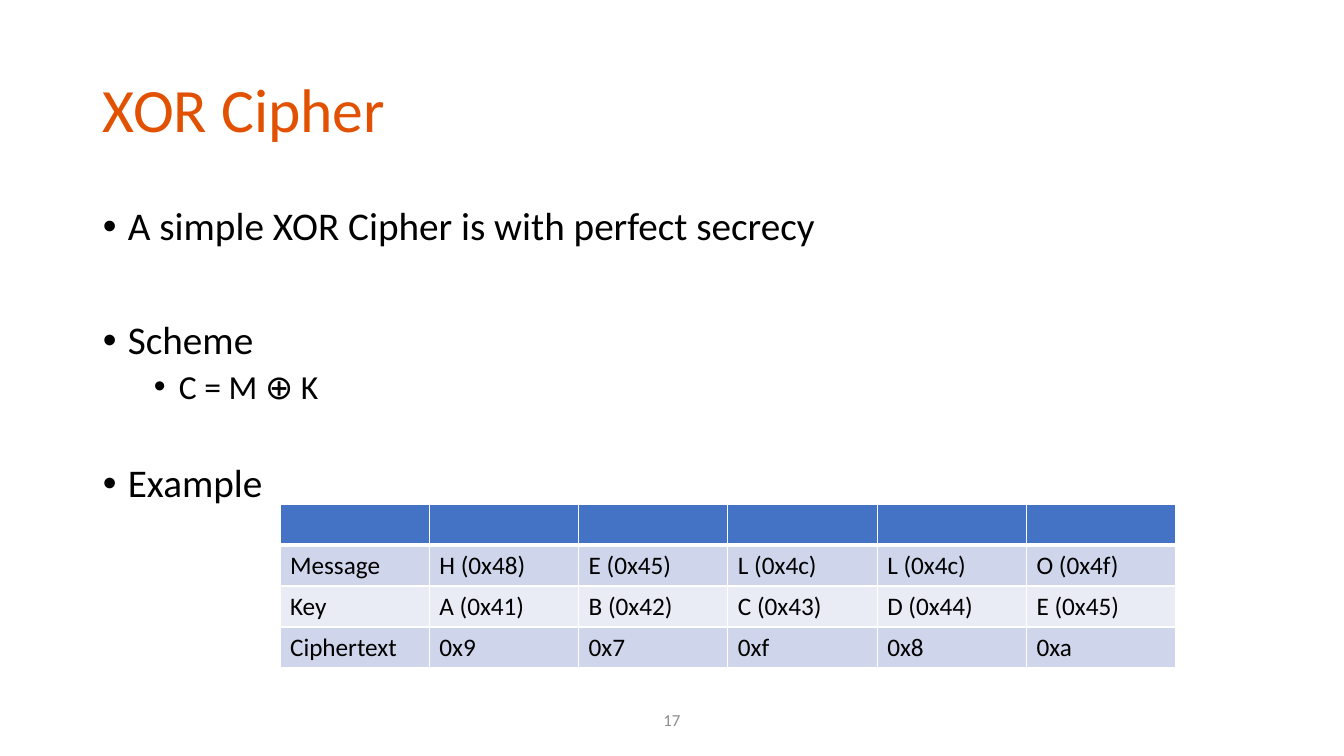
from lxml import etree
from pptx import Presentation
from pptx.dml.color import RGBColor
from pptx.enum.text import MSO_ANCHOR, PP_ALIGN
from pptx.oxml.ns import qn
from pptx.util import Emu, Pt

SCALE = 914400 / 100.8
FONT = "Calibri"
LEFT, CENTER = PP_ALIGN.LEFT, PP_ALIGN.CENTER
TOP, MIDDLE = MSO_ANCHOR.TOP, MSO_ANCHOR.MIDDLE

ORANGE = RGBColor(0xE1, 0x51, 0x01)
BLACK = RGBColor(0x00, 0x00, 0x00)
GRAY = RGBColor(0x8C, 0x8C, 0x8C)
WHITE = RGBColor(0xFF, 0xFF, 0xFF)
HEADER_BLUE = RGBColor(0x44, 0x72, 0xC4)
BAND_DARK = RGBColor(0xCF, 0xD5, 0xEA)
BAND_LIGHT = RGBColor(0xE9, 0xEB, 0xF5)

POINTS = [
    ("A simple XOR Cipher is with perfect secrecy", 0, 10),
    ("Scheme", 0, 51),
    ("C = M ⊕ K", 1, 5),
    ("Example", 0, 41),
]
LEVELS = [(25, 28), (76, 24)]
HANGING = 25

CIPHER_ROWS = [
    [""] * 6,
    ["Message", "H (0x48)", "E (0x45)", "L (0x4c)", "L (0x4c)", "O (0x4f)"],
    ["Key", "A (0x41)", "B (0x42)", "C (0x43)", "D (0x44)", "E (0x45)"],
    ["Ciphertext", "0x9", "0x7", "0xf", "0x8", "0xa"],
]
ROW_FILLS = [HEADER_BLUE, BAND_DARK, BAND_LIGHT, BAND_DARK]
ROW_HEIGHT = 41


def px(length):
    return Emu(round(length * SCALE))


def add_run(paragraph, text, size, color):
    run = paragraph.add_run()
    run.text = text
    run.font.name = FONT
    run.font.size = Pt(size)
    run.font.color.rgb = color


def add_frame(slide, left, top, width, height, anchor):
    box = slide.shapes.add_textbox(px(left), px(top), px(width), px(height))
    frame = box.text_frame
    frame.word_wrap = True
    frame.vertical_anchor = anchor
    return frame


def add_line(slide, area, text, size, color, align):
    paragraph = add_frame(slide, *area, MIDDLE).paragraphs[0]
    paragraph.alignment = align
    paragraph.line_spacing = 0.9
    add_run(paragraph, text, size, color)


def add_bullets(slide, area, points):
    frame = add_frame(slide, *area, TOP)
    for index, (text, level, space_before) in enumerate(points):
        paragraph = frame.add_paragraph() if index else frame.paragraphs[0]
        indent, size = LEVELS[level]
        paragraph.level = level
        paragraph.line_spacing = 0.9
        paragraph.space_before = Pt(space_before)
        properties = paragraph._p.get_or_add_pPr()
        properties.set("marL", str(px(indent)))
        properties.set("indent", str(-px(HANGING)))
        etree.SubElement(properties, qn("a:buFont"), typeface="Arial")
        etree.SubElement(properties, qn("a:buChar"), char="•")
        add_run(paragraph, text, size, BLACK)


def add_borders(cell, widths):
    properties = cell._tc.get_or_add_tcPr()
    for position, (side, width) in enumerate(widths.items()):
        border = etree.Element(qn(f"a:ln{side}"), w=str(Pt(width)))
        fill = etree.SubElement(border, qn("a:solidFill"))
        etree.SubElement(fill, qn("a:srgbClr"), val=str(WHITE))
        properties.insert(position, border)


def add_cipher_table(slide, left, top, width):
    column_count = len(CIPHER_ROWS[0])
    height = ROW_HEIGHT * len(CIPHER_ROWS)
    table = slide.shapes.add_table(
        len(CIPHER_ROWS), column_count, px(left), px(top), px(width), px(height)
    ).table
    for column in table.columns:
        column.width = px(width / column_count)
    for row_index, (texts, color) in enumerate(zip(CIPHER_ROWS, ROW_FILLS)):
        table.rows[row_index].height = px(ROW_HEIGHT)
        top_width = 3 if row_index == 1 else 1
        bottom_width = 3 if row_index == 0 else 1
        for column_index, text in enumerate(texts):
            cell = table.cell(row_index, column_index)
            cell.fill.solid()
            cell.fill.fore_color.rgb = color
            add_borders(cell, {"L": 1, "R": 1, "T": top_width, "B": bottom_width})
            if text:
                add_run(cell.text_frame.paragraphs[0], text, 18, BLACK)


def main():
    presentation = Presentation()
    presentation.slide_width = px(1344)
    presentation.slide_height = px(756)
    slide = presentation.slides.add_slide(presentation.slide_layouts[6])
    add_line(slide, (93, 40, 1159, 146), "XOR Cipher", 44, ORANGE, LEFT)
    add_bullets(slide, (93, 202, 1159, 480), POINTS)
    add_line(slide, (521, 701, 302, 40), "17", 12, GRAY, CENTER)
    add_cipher_table(slide, 280, 504, 896)
    presentation.save("out.pptx")


if __name__ == "__main__":
    main()
